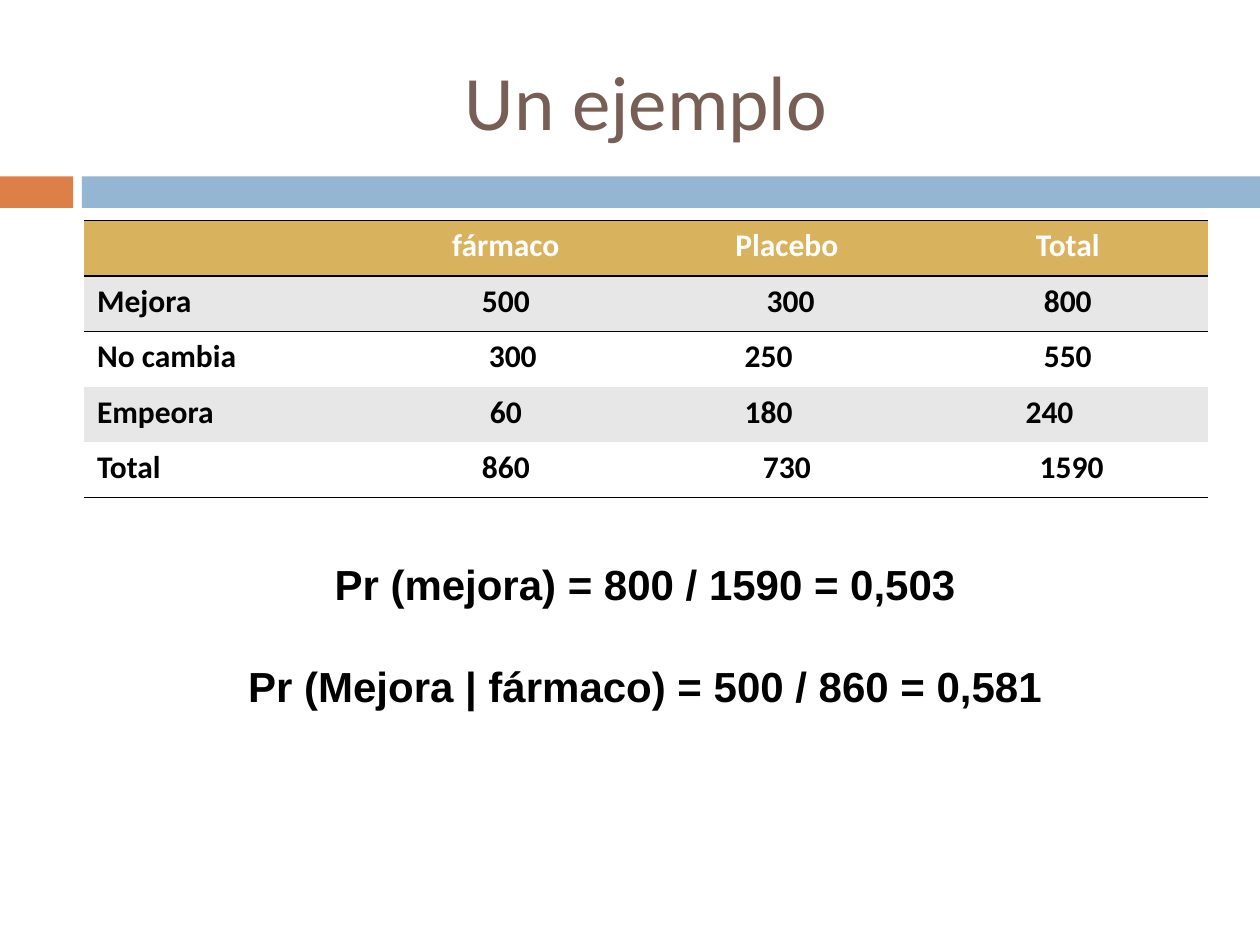
import pptx
import pptx.dml.color
import pptx.enum.shapes
import pptx.enum.text
import pptx.oxml
import pptx.oxml.ns
import pptx.util

Inches, Pt = pptx.util.Inches, pptx.util.Pt
ALIGN = pptx.enum.text.PP_ALIGN
ANCHOR = pptx.enum.text.MSO_ANCHOR

COLORS = {
    "accent": "DD8047", "band": "94B6D2", "title": "775F55",
    "header": "D8B25C", "stripe": "E7E7E7", "white": "FFFFFF", "black": "000000",
}
TITLE_FONT = {"name": "Calibri", "size": Pt(44), "bold": False}
CELL_FONT = {"name": "Calibri", "size": Pt(18), "bold": True}
FORMULA_FONT = {"name": "Arial", "size": Pt(24), "bold": True}
NO_STYLE = "{2D5ABB26-0587-4C30-8999-92F81FD0307C}"

RESULTS = [
    ["", "fármaco", "Placebo", "Total"],
    ["Mejora", "500", "300", "800"],
    ["No cambia", "300", "250", "550"],
    ["Empeora", "60", "180", "240"],
    ["Total", "860", "730", "1590"],
]
# Left-aligned figures, and centred ones nudged right, by (row, column)
LEFT_FIGURES = {(2, 2), (3, 2), (3, 3)}
NUDGES = {(1, 2): 0.06, (2, 1): 0.11, (4, 3): 0.06}
FORMULAS = [
    "Pr (mejora) = 800 / 1590 = 0,503",
    "Pr (Mejora | fármaco) = 500 / 860 = 0,581",
]


def rgb(color):
    return pptx.dml.color.RGBColor.from_string(COLORS[color])


def write(paragraph, text, font, color, align):
    paragraph.text = text
    paragraph.alignment = align
    for attribute, value in font.items():
        setattr(paragraph.font, attribute, value)
    paragraph.font.color.rgb = rgb(color)


def add_text_frame(slide, left, top, width, height):
    frame = slide.shapes.add_textbox(
        Inches(left), Inches(top), Inches(width), Inches(height)).text_frame
    frame.word_wrap = True
    return frame


def add_rule(cell, sides):
    """Draw a thin black border on the given sides (T, B) of a cell."""
    for position, side in enumerate(sides):
        rule = pptx.oxml.parse_xml(
            f'<a:ln{side} {pptx.oxml.ns.nsdecls("a")} w="{Pt(0.96)}">'
            f'<a:solidFill><a:srgbClr val="{COLORS["black"]}"/></a:solidFill>'
            f'</a:ln{side}>')
        cell._tc.get_or_add_tcPr().insert(position, rule)


def add_title(slide, left, top, width, height):
    frame = add_text_frame(slide, left, top, width, height)
    frame.vertical_anchor = ANCHOR.MIDDLE
    write(frame.paragraphs[0], "Un ejemplo", TITLE_FONT, "title", ALIGN.CENTER)


def add_band(slide, left, top, width, height):
    accent_width, band_offset = 0.58, 0.65
    for x, w, color in [(left, accent_width, "accent"),
                        (left + band_offset, width - band_offset, "band")]:
        bar = slide.shapes.add_shape(
            pptx.enum.shapes.MSO_SHAPE.RECTANGLE,
            Inches(x), Inches(top), Inches(w), Inches(height))
        bar.shadow.inherit = False
        bar.fill.solid()
        bar.fill.fore_color.rgb = rgb(color)
        bar.line.fill.background()


def add_results(slide, left, top, width, row_height):
    last = len(RESULTS) - 1
    table = slide.shapes.add_table(
        len(RESULTS), len(RESULTS[0]), Inches(left), Inches(top),
        Inches(width), Inches(row_height * len(RESULTS))).table
    table._tbl.tblPr.find(pptx.oxml.ns.qn("a:tableStyleId")).text = NO_STYLE
    for row in table.rows:
        row.height = Inches(row_height)

    for r, values in enumerate(RESULTS):
        fill = "header" if r == 0 else "stripe" if r % 2 else "white"
        sides = {0: "TB", 1: "T", last: "B"}.get(r, "")
        for c, value in enumerate(values):
            cell = table.cell(r, c)
            cell.fill.solid()
            cell.fill.fore_color.rgb = rgb(fill)
            add_rule(cell, sides)
            indent = 0.68 if (r, c) in LEFT_FIGURES else NUDGES.get((r, c), 0)
            cell.margin_left = Inches(0.1 + indent)
            is_left = c == 0 or (r, c) in LEFT_FIGURES
            write(cell.text_frame.paragraphs[0], value, CELL_FONT,
                  "black" if r else "white",
                  ALIGN.LEFT if is_left else ALIGN.CENTER)


def add_formulas(slide, left, top, width, height):
    frame = add_text_frame(slide, left, top, width, height)
    for i, formula in enumerate(FORMULAS):
        paragraph = frame.add_paragraph() if i else frame.paragraphs[0]
        write(paragraph, formula, FORMULA_FONT, "black", ALIGN.CENTER)
        if i:
            paragraph.space_before = Pt(30)


def main():
    deck = pptx.Presentation()
    deck.slide_width, deck.slide_height = Inches(10), Inches(7.5)
    slide = deck.slides.add_slide(deck.slide_layouts[6])
    add_band(slide, 0, 1.4, 10, 0.25)
    add_title(slide, 0.67, 0.25, 8.92, 1.08)
    add_results(slide, 0.67, 1.75, 8.92, 0.44)
    add_formulas(slide, 0.67, 4.38, 8.9, 3.1)
    deck.save("out.pptx")


if __name__ == "__main__":
    main()
